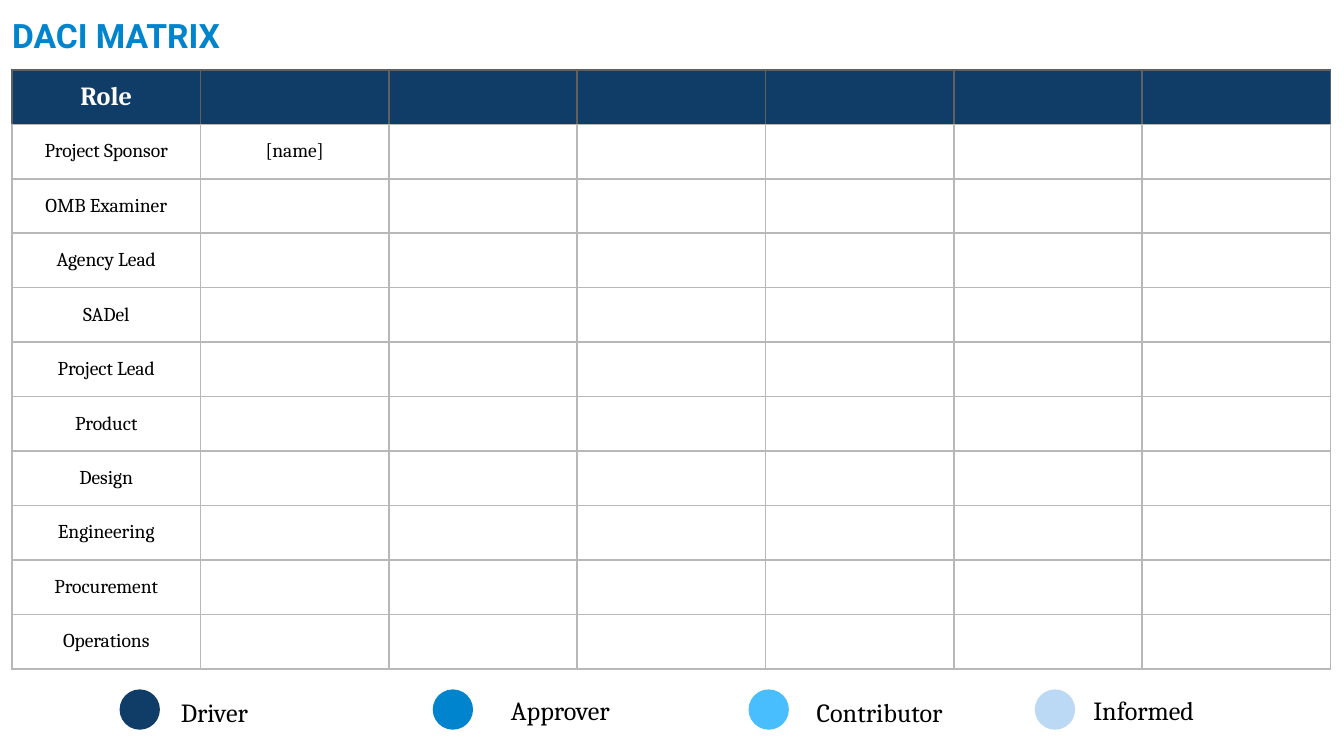
from dataclasses import dataclass

from lxml.etree import SubElement
from pptx import Presentation
from pptx.dml.color import RGBColor
from pptx.enum.shapes import MSO_SHAPE as Shape
from pptx.enum.text import MSO_ANCHOR as Anchor, MSO_AUTO_SIZE as AutoSize, PP_ALIGN as Align
from pptx.oxml.ns import qn
from pptx.util import Inches, Pt


@dataclass(frozen=True)
class Theme:
    navy: str = "0F3D67"
    blue: str = "0084CD"
    sky: str = "48BEFF"
    pale: str = "BBD9F5"
    black: str = "000000"
    header_text: str = "FEFDFD"
    header_border: str = "606060"
    body_border: str = "B8B8B8"
    title_font: str = "Roboto"
    body_font: str = "Cambria"
    title_size: float = 18
    label_size: float = 14
    cell_size: float = 10.5


@dataclass(frozen=True)
class LegendItem:
    label: str
    color: str
    dot_left: float
    text_left: float
    text_top: float
    text_width: float


THEME = Theme()
ROLES = ["Project Sponsor", "OMB Examiner", "Agency Lead", "SADel", "Project Lead",
         "Product", "Design", "Engineering", "Procurement", "Operations"]
COLUMNS = 7
LEGEND = [
    LegendItem("Driver", THEME.navy, 0.89, 1.19, 5.13, 0.81),
    LegendItem("Approver", THEME.blue, 3.22, 3.62, 5.12, 1.1),
    LegendItem("Contributor", THEME.sky, 5.57, 5.87, 5.13, 1.35),
    LegendItem("Informed", THEME.pale, 7.7, 7.95, 5.12, 1.12),
]


def add_run(p, text: str, size: float, color: str, font: str = THEME.body_font,
            bold: bool = False) -> None:
    r = p.add_run()
    r.text = text
    r.font.name, r.font.size, r.font.bold = font, Pt(size), bold
    r.font.color.rgb = RGBColor.from_string(color)


def set_borders(cell, color: str) -> None:
    tc_pr = cell._tc.get_or_add_tcPr()
    for side in ("a:lnL", "a:lnR", "a:lnT", "a:lnB"):
        line = SubElement(tc_pr, qn(side), w=str(Pt(1)))
        fill = SubElement(line, qn("a:solidFill"))
        SubElement(fill, qn("a:srgbClr"), val=color)


def format_cell(cell, text: str, is_header: bool) -> None:
    # Borders come before the fill in the cell properties
    set_borders(cell, THEME.header_border if is_header else THEME.body_border)
    if is_header:
        cell.fill.solid()
        cell.fill.fore_color.rgb = RGBColor.from_string(THEME.navy)
    else:
        cell.fill.background()
    cell.vertical_anchor = Anchor.MIDDLE
    cell.margin_top = cell.margin_bottom = Inches(0.03)
    if text:
        p = cell.text_frame.paragraphs[0]
        p.alignment = Align.CENTER
        size = THEME.label_size if is_header else THEME.cell_size
        color = THEME.header_text if is_header else THEME.black
        add_run(p, text, size, color, bold=is_header)


def add_title(s, text: str) -> None:
    sp = s.shapes.title
    sp.left, sp.top, sp.width, sp.height = map(Inches, (0.09, 0.06, 9.25, 0.46))
    tf = sp.text_frame
    tf.margin_left, tf.margin_right = 0, Inches(0.1)
    tf.margin_top = tf.margin_bottom = Inches(0.05)
    tf.vertical_anchor = Anchor.TOP
    tf.auto_size = AutoSize.NONE
    p = tf.paragraphs[0]
    p.alignment = Align.LEFT
    add_run(p, text, THEME.title_size, THEME.blue, THEME.title_font, bold=True)


def add_matrix(s) -> None:
    texts = {(0, 0): "Role", (1, 1): "[name]"}
    texts.update({(i, 0): role for i, role in enumerate(ROLES, 1)})
    frame = s.shapes.add_table(len(ROLES) + 1, COLUMNS, Inches(0.09), Inches(0.52),
                               Inches(9.81), Inches(4.46))
    table = frame.table
    table.horz_banding = False
    for i, row in enumerate(table.rows):
        for j, cell in enumerate(row.cells):
            format_cell(cell, texts.get((i, j), ""), is_header=i == 0)


def add_dot(s, item: LegendItem) -> None:
    sp = s.shapes.add_shape(Shape.OVAL, Inches(item.dot_left), Inches(5.13),
                            Inches(0.3), Inches(0.3))
    sp.shadow.inherit = False
    sp.fill.solid()
    sp.fill.fore_color.rgb = RGBColor.from_string(item.color)
    sp.line.fill.background()


def add_label(s, item: LegendItem) -> None:
    sp = s.shapes.add_textbox(Inches(item.text_left), Inches(item.text_top),
                              Inches(item.text_width), Inches(0.34))
    tf = sp.text_frame
    tf.word_wrap = False
    tf.auto_size = AutoSize.SHAPE_TO_FIT_TEXT
    p = tf.paragraphs[0]
    p.alignment = Align.CENTER
    add_run(p, item.label, THEME.label_size, THEME.black)


def main() -> None:
    prs = Presentation()
    # Widescreen, 16:9
    prs.slide_width = Inches(10)
    prs.slide_height = prs.slide_width * 9 // 16
    s = prs.slides.add_slide(prs.slide_layouts[5])

    # Title and matrix
    add_title(s, "DACI MATRIX")
    add_matrix(s)

    # Legend
    for item in LEGEND:
        add_dot(s, item)
    for item in LEGEND:
        add_label(s, item)

    prs.save("out.pptx")


if __name__ == "__main__":
    main()
